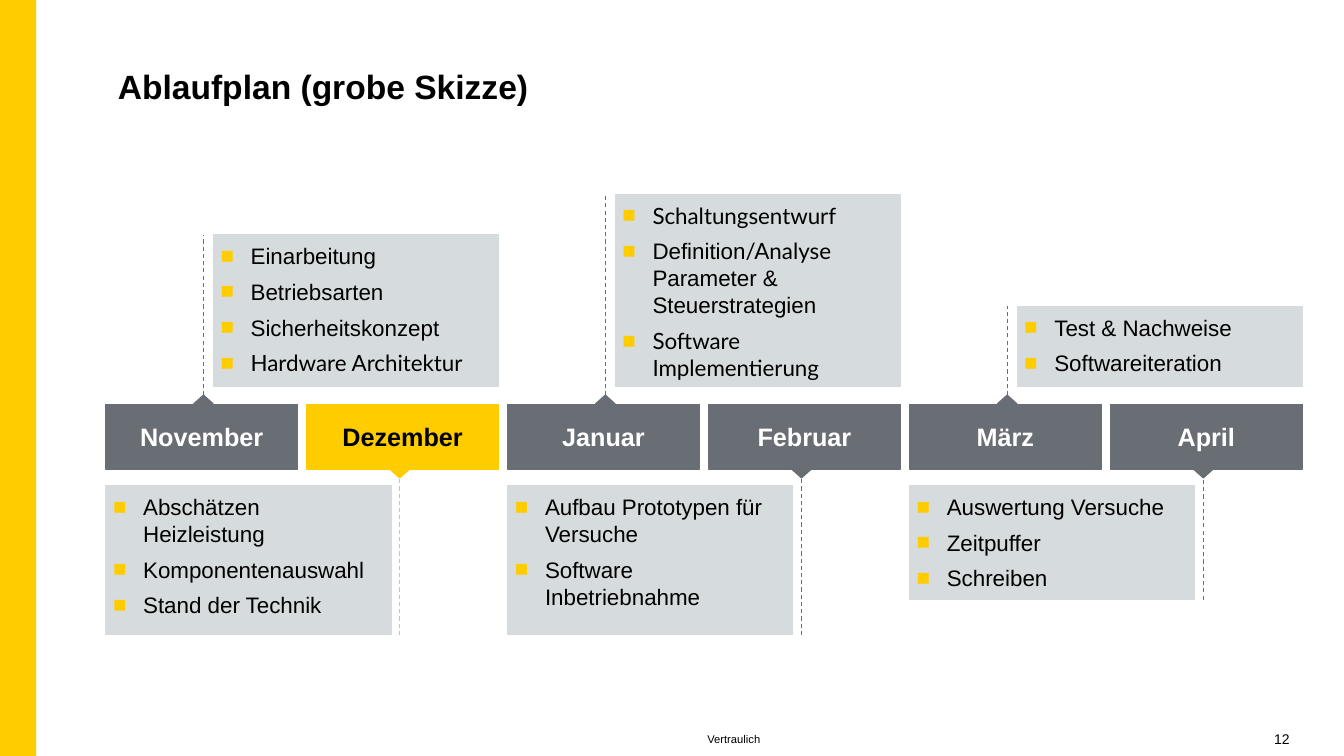
from lxml import etree
from pptx import Presentation
from pptx import util as u
from pptx.dml.color import RGBColor
from pptx.enum import dml, shapes, text
from pptx.oxml import ns

GREY, YELLOW, PALE, BLACK, WHITE = "696E75", "FFCC00", "D6DBDE", "000000", "FFFFFF"
LEFT, PITCH, MONTH_WIDTH, MONTH_TOP, MONTH_HEIGHT = 2.67, 5.065, 4.83, 10.19, 1.63
BOX_WIDTH, ABOVE_BOTTOM, BELOW_TOP = 7.19, 9.73, 12.24
MARKER_WIDTH, MARKER_HEIGHT = 0.48, 0.43
LATO = "Lato"

MONTHS = [
    ("November", 3.81, ["Einarbeitung", "Betriebsarten", "Sicherheitskonzept",
                        [("Hardware", LATO, 16), (" ", LATO, 14), ("Architektur", LATO, 16)]]),
    ("Dezember", 3.76, ["Abschätzen Heizleistung", "Komponentenauswahl", "Stand der Technik"]),
    ("Januar", 4.83, [[("Schaltungsentwurf", LATO, 16)],
                      [("Definition", "Arial", 16), ("/Analyse", LATO, 16),
                       (" Parameter & Steuerstrategien", "Arial", 16)],
                      [("Software Implementierung", LATO, 16)]]),
    ("Februar", 3.76, ["Aufbau Prototypen für Versuche", "Software Inbetriebnahme"]),
    ("März", 2.01, ["Test & Nachweise", "Softwareiteration"]),
    ("April", 2.87, ["Auswertung Versuche", "Zeitpuffer", "Schreiben"]),
]


def rgb(value):
    """Turn a hex string into a colour."""
    return RGBColor.from_string(value)


def apply(target, values):
    """Set every attribute named in a dict."""
    for name, value in values.items():
        setattr(target, name, value)


def set_frame(frame, anchor, horizontal, vertical):
    """Set wrapping, anchor and insets of a text frame."""
    apply(frame, {"word_wrap": True, "auto_size": text.MSO_AUTO_SIZE.NONE,
                  "vertical_anchor": anchor,
                  "margin_left": u.Cm(horizontal), "margin_right": u.Cm(horizontal),
                  "margin_top": u.Cm(vertical), "margin_bottom": u.Cm(vertical)})


def add_run(paragraph, content, size, colour=BLACK, bold=False, font="Arial"):
    """Append a formatted run to a paragraph."""
    run = paragraph.add_run()
    run.text = content
    apply(run.font, {"name": font, "size": u.Pt(size), "bold": bold})
    run.font.color.rgb = rgb(colour)


def add_block(slide, kind, left, top, width, height, colour, line_width=0.75):
    """Add a preset shape in one flat colour."""
    shape = slide.shapes.add_shape(kind, u.Cm(left), u.Cm(top), u.Cm(width), u.Cm(height))
    shape.shadow.inherit = False
    shape.fill.solid()
    shape.fill.fore_color.rgb = rgb(colour)
    shape.line.color.rgb = rgb(colour)
    shape.line.width = u.Pt(line_width)
    return shape


def add_label(slide, content, left, width, size, alignment):
    """Add a small text box in the footer row."""
    box = slide.shapes.add_textbox(u.Cm(left), u.Cm(18.31), u.Cm(width), u.Cm(0.61))
    set_frame(box.text_frame, text.MSO_ANCHOR.MIDDLE, 0.3, 0.15)
    paragraph = box.text_frame.paragraphs[0]
    paragraph.alignment = alignment
    add_run(paragraph, content, size)


def add_dashed_line(slide, x, start, end, colour):
    """Add a vertical dashed line."""
    line = slide.shapes.add_connector(shapes.MSO_CONNECTOR.STRAIGHT,
                                      u.Cm(x), u.Cm(start), u.Cm(x), u.Cm(end))
    apply(line.line, {"width": u.Pt(0.75), "dash_style": dml.MSO_LINE.DASH})
    line.line.color.rgb = rgb(colour)
    etree.SubElement(line._element.spPr, ns.qn("a:effectLst"))


def add_bullet(paragraph):
    """Give a paragraph a yellow square bullet with a hanging indent."""
    properties = paragraph._p.get_or_add_pPr()
    properties.set("marL", str(u.Cm(0.76)))
    properties.set("indent", str(-u.Cm(0.76)))
    colour = etree.SubElement(properties, ns.qn("a:buClr"))
    etree.SubElement(colour, ns.qn("a:srgbClr")).set("val", YELLOW)
    etree.SubElement(properties, ns.qn("a:buFont")).set("typeface", "Arial")
    etree.SubElement(properties, ns.qn("a:buChar")).set("char", "■")


def add_task_box(slide, left, top, height, tasks):
    """Add a pale box with a bulleted list of tasks."""
    box = add_block(slide, shapes.MSO_SHAPE.RECTANGLE, left, top, BOX_WIDTH, height, PALE)
    frame = box.text_frame
    set_frame(frame, text.MSO_ANCHOR.TOP, 0.18, 0.18)
    for index, task in enumerate(tasks):
        paragraph = frame.add_paragraph() if index else frame.paragraphs[0]
        add_bullet(paragraph)
        apply(paragraph, {"alignment": text.PP_ALIGN.LEFT, "line_spacing": u.Pt(19.3),
                          "space_before": u.Pt(3.2 if index else 0), "space_after": u.Pt(3)})
        runs = [(task, "Arial", 16)] if isinstance(task, str) else task
        for content, font, size in runs:
            add_run(paragraph, content, size, font=font)


def add_month(slide, index, name, height, tasks):
    """Add a month with its marker, dashed line and task box."""
    left = LEFT + index * PITCH
    colour, ink = (YELLOW, BLACK) if name == "Dezember" else (GREY, WHITE)
    if index % 2 == 0:
        x = left + 2.46
        marker_top, box_left, box_top = 9.96, x + 0.25, ABOVE_BOTTOM - height
        start, end = marker_top, box_top
    else:
        x = left + 2.34
        marker_top, box_left, box_top = 11.61, left - PITCH, BELOW_TOP
        start, end = box_top + height, marker_top + MARKER_HEIGHT
    add_block(slide, shapes.MSO_SHAPE.DIAMOND, x - MARKER_WIDTH / 2, marker_top,
              MARKER_WIDTH, MARKER_HEIGHT, colour, 1)
    month = add_block(slide, shapes.MSO_SHAPE.RECTANGLE, left, MONTH_TOP,
                      MONTH_WIDTH, MONTH_HEIGHT, colour)
    set_frame(month.text_frame, text.MSO_ANCHOR.MIDDLE, 0.28, 0.18)
    paragraph = month.text_frame.paragraphs[0]
    paragraph.alignment = text.PP_ALIGN.CENTER
    add_run(paragraph, name, 18, ink, True)
    add_dashed_line(slide, x, start, end, colour)
    add_task_box(slide, box_left, box_top, height, tasks)


def set_title(slide, content):
    """Place and format the slide title."""
    title = slide.shapes.title
    apply(title, {"left": u.Cm(LEFT), "top": u.Cm(1.5), "width": u.Cm(30.15), "height": u.Cm(2.21)})
    set_frame(title.text_frame, text.MSO_ANCHOR.TOP, 0.3, 0.15)
    paragraph = title.text_frame.paragraphs[0]
    paragraph.alignment = text.PP_ALIGN.LEFT
    add_run(paragraph, content, 24, bold=True)


def main():
    """Build the schedule slide."""
    presentation = Presentation()
    apply(presentation, {"slide_width": u.Cm(33.88), "slide_height": u.Cm(19.05)})
    slide = presentation.slides.add_slide(presentation.slide_layouts[5])
    add_block(slide, shapes.MSO_SHAPE.RECTANGLE, 0, 0, 0.91, 19.05, YELLOW).line.fill.background()
    set_title(slide, "Ablaufplan (grobe Skizze)")
    for index, (name, height, tasks) in enumerate(MONTHS):
        add_month(slide, index, name, height, tasks)
    add_label(slide, "Vertraulich", 17.53, 5.33, 8, text.PP_ALIGN.LEFT)
    add_label(slide, "12", 30.12, 2.69, 10, text.PP_ALIGN.RIGHT)
    presentation.save("out.pptx")


if __name__ == "__main__":
    main()
